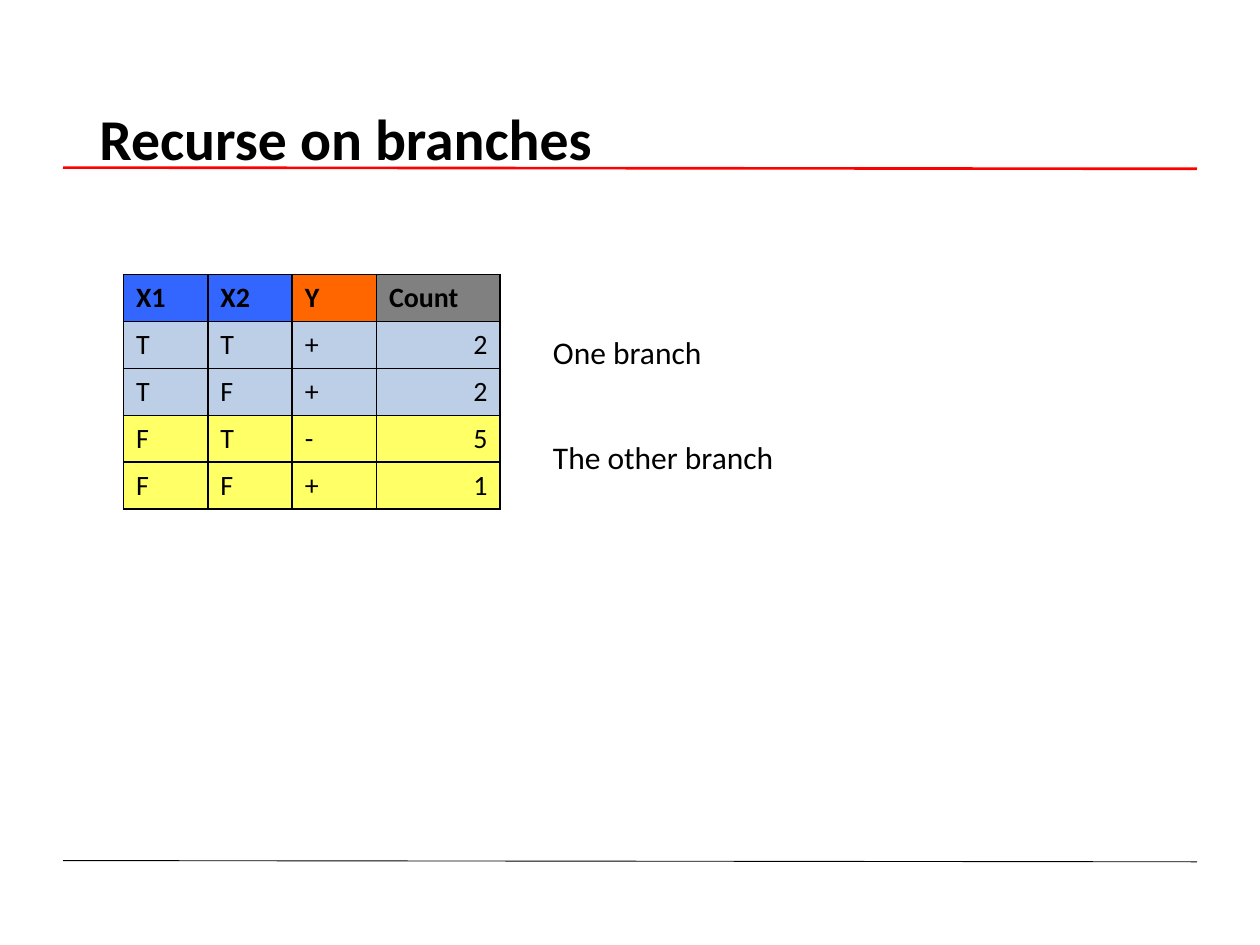
"""Build the slide on recursing into the branches of a decision tree."""
from dataclasses import dataclass

from lxml import etree
from pptx import Presentation
from pptx import util as u
from pptx.dml.color import RGBColor
from pptx.enum import shapes, text
from pptx.oxml import ns

FONT = "Calibri"
HUES = {
    "ink": "000000",
    "rule": "FF0000",
    "input": "3366FF",
    "class": "FF6600",
    "count": "808080",
    "one": "BCCFE6",
    "other": "FFFF66",
}
HEADS = [("X1", "input"), ("X2", "input"), ("Y", "class"), ("Count", "count")]
ROWS = [("TT+2", "one"), ("TF+2", "one"), ("FT-5", "other"), ("FF+1", "other")]
WIDTHS = [0.67, 0.67, 0.67, 0.98]
HEIGHT = 0.37


@dataclass
class Rule:
    y: float
    hue: str
    width: float


@dataclass
class Label:
    words: str
    left: float
    top: float
    width: float
    height: float
    size: int = 18
    title: bool = False


RULES = [Rule(1.33, "rule", 1.5), Rule(6.83, "ink", 0.5)]
LABELS = [
    Label("Recurse on branches", 0.69, 0.4, 8.62, 1.45, 33, True),
    Label("One branch", 4.29, 2.59, 1.51, 0.4),
    Label("The other branch", 4.29, 3.43, 2.1, 0.4),
]


def color(hue: str) -> RGBColor:
    """Return the named colour."""
    return RGBColor.from_string(HUES[hue])


def style(frame, size: int, bold: bool) -> None:
    """Format every run of a text frame."""
    for para in frame.paragraphs:
        for run in para.runs:
            run.font.name = FONT
            run.font.size = u.Pt(size)
            run.font.bold = bold
            run.font.color.rgb = color("ink")


def draw_rule(slide, rule: Rule) -> None:
    """Draw a line across the slide."""
    line = slide.shapes.add_connector(
        shapes.MSO_CONNECTOR.STRAIGHT,
        u.Inches(0.5), u.Inches(rule.y), u.Inches(9.5), u.Inches(rule.y + 0.01),
    )
    line.line.color.rgb = color(rule.hue)
    line.line.width = u.Pt(rule.width)
    etree.SubElement(line._element.spPr, ns.qn("a:effectLst"))


def draw_label(slide, label: Label) -> None:
    """Add the title or a note beside the table."""
    box = slide.shapes.add_textbox(
        u.Inches(label.left), u.Inches(label.top),
        u.Inches(label.width), u.Inches(label.height),
    )
    frame = box.text_frame
    frame.text = label.words
    frame.word_wrap = label.title
    if label.title:
        frame.vertical_anchor = text.MSO_ANCHOR.MIDDLE
        frame.paragraphs[0].line_spacing = 0.9
    else:
        frame.auto_size = text.MSO_AUTO_SIZE.SHAPE_TO_FIT_TEXT
    style(frame, label.size, label.title)


def edge(cell) -> None:
    """Give a cell a thin border on all sides."""
    props = cell._tc.get_or_add_tcPr()
    for side in "LRTB":
        line = etree.SubElement(props, ns.qn(f"a:ln{side}"), w=str(u.Pt(1)))
        fill = etree.SubElement(line, ns.qn("a:solidFill"))
        etree.SubElement(fill, ns.qn("a:srgbClr"), val=HUES["ink"])


def draw_cell(cell, words: str, hue: str, bold: bool, right: bool) -> None:
    """Fill in and format one cell."""
    cell.text = words
    cell.vertical_anchor = text.MSO_ANCHOR.BOTTOM
    edge(cell)
    cell.fill.solid()
    cell.fill.fore_color.rgb = color(hue)
    if right:
        cell.text_frame.paragraphs[0].alignment = text.PP_ALIGN.RIGHT
    style(cell.text_frame, 16, bold)


def draw_table(slide) -> None:
    """Add the table of counts, coloured by branch."""
    grid = [HEADS] + [[(mark, hue) for mark in marks] for marks, hue in ROWS]
    table = slide.shapes.add_table(
        len(grid), len(WIDTHS), u.Inches(0.98), u.Inches(2.18),
        u.Inches(sum(WIDTHS)), u.Inches(HEIGHT * len(grid)),
    ).table
    for col, width in zip(table.columns, WIDTHS):
        col.width = u.Inches(width)
    for r, row in enumerate(grid):
        table.rows[r].height = u.Inches(HEIGHT)
        for c, (words, hue) in enumerate(row):
            draw_cell(table.cell(r, c), words, hue, r == 0, words.isdigit())


def main() -> None:
    """Build and save the slide."""
    deck = Presentation()
    deck.slide_width, deck.slide_height = u.Inches(10), u.Inches(7.5)
    slide = deck.slides.add_slide(deck.slide_layouts[6])
    for rule in RULES:
        draw_rule(slide, rule)
    draw_table(slide)
    for label in LABELS:
        draw_label(slide, label)
    deck.save("out.pptx")


if __name__ == "__main__":
    main()
